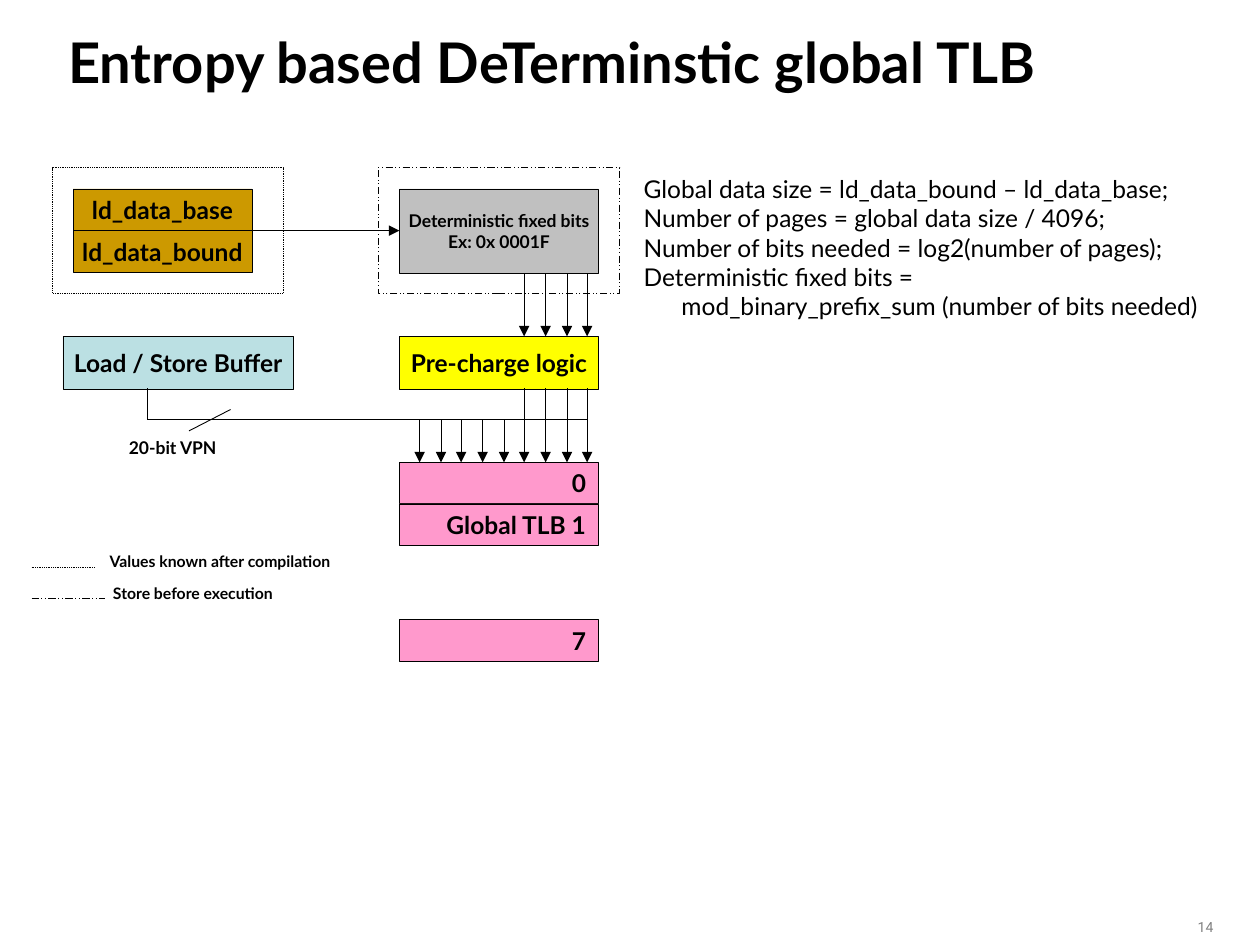
import pptx
import pptx.dml.color
import pptx.enum.dml
import pptx.enum.shapes
import pptx.enum.text
import pptx.oxml
import pptx.oxml.ns
import pptx.util

Inches, Pt = pptx.util.Inches, pptx.util.Pt
ALIGN = pptx.enum.text.PP_ALIGN
ANCHOR = pptx.enum.text.MSO_ANCHOR
DOT = pptx.enum.dml.MSO_LINE.ROUND_DOT
DASH = pptx.enum.dml.MSO_LINE.DASH_DOT_DOT
PINK, GOLD = "FF99CC", "CC9900"


def rgb(value):
    return pptx.dml.color.RGBColor.from_string(value)


def write(sp, text, size=14, bold=True, color="000000", font="Lato",
          align=ALIGN.CENTER, anchor=ANCHOR.TOP, wrap=False):
    """Fill a shape with text, one paragraph per line."""
    tf = sp.text_frame
    tf.word_wrap = wrap
    tf.auto_size = pptx.enum.text.MSO_AUTO_SIZE.NONE
    tf.vertical_anchor = anchor
    tf.text = text
    for p in tf.paragraphs:
        p.alignment = align
        for r in p.runs:
            r.font.name = font
            r.font.size = Pt(size)
            r.font.bold = bold
            r.font.color.rgb = rgb(color)
    return tf


class Diagram:
    line_color = "000000"
    line_width = 0.5

    def __init__(self, prs):
        self.slide = prs.slides.add_slide(prs.slide_layouts[5])
        self.shapes = self.slide.shapes

    def stroke(self, line, dash=None):
        line.color.rgb = rgb(self.line_color)
        line.width = Pt(self.line_width)
        if dash is not None:
            line.dash_style = dash

    def title(self, text, x, y, w, h):
        sp = self.shapes.title
        sp.left, sp.top, sp.width, sp.height = map(Inches, (x, y, w, h))
        tf = write(sp, text, size=32, align=ALIGN.LEFT,
                   anchor=ANCHOR.MIDDLE, wrap=True)
        tf.margin_left = Inches(0.19)

    def box(self, x, y, w, h, fill=None, text=None, dash=None, **fmt):
        sp = self.shapes.add_shape(pptx.enum.shapes.MSO_SHAPE.RECTANGLE,
                                   *map(Inches, (x, y, w, h)))
        sp.shadow.inherit = False
        if fill:
            sp.fill.solid()
            sp.fill.fore_color.rgb = rgb(fill)
        else:
            sp.fill.background()
        self.stroke(sp.line, dash)
        if text:
            write(sp, text, anchor=ANCHOR.MIDDLE, **fmt)

    def label(self, text, x, y, w, h, **fmt):
        sp = self.shapes.add_textbox(*map(Inches, (x, y, w, h)))
        return write(sp, text, **fmt)

    def line(self, x1, y1, x2, y2, arrow=False, dash=None):
        cn = self.shapes.add_connector(
            pptx.enum.shapes.MSO_CONNECTOR.STRAIGHT,
            *map(Inches, (x1, y1, x2, y2)))
        self.stroke(cn.line, dash)
        ns = pptx.oxml.ns.nsdecls("a")
        sp_pr = cn._element.spPr
        if arrow:
            sp_pr.find(pptx.oxml.ns.qn("a:ln")).append(
                pptx.oxml.parse_xml(f'<a:tailEnd {ns} type="triangle"/>'))
        sp_pr.append(pptx.oxml.parse_xml(f"<a:effectLst {ns}/>"))


def main():
    prs = pptx.Presentation()
    prs.slide_width, prs.slide_height = Inches(10), Inches(7.5)
    d = Diagram(prs)
    d.title("Entropy based DeTerminstic global TLB", 0.35, 0.07, 9.31, 0.83)

    # Global TLB entries
    for y, text in ((3.67, "0"), (4.92, "7"), (4, "Global TLB 1")):
        d.box(3.17, y, 1.58, 0.33, PINK, text, align=ALIGN.RIGHT)

    # Registers and logic blocks
    d.box(0.58, 1.5, 1.42, 0.33, GOLD, "ld_data_base")
    d.box(0.58, 1.83, 1.42, 0.33, GOLD, "ld_data_bound")
    d.box(3.17, 2.67, 1.58, 0.42, "FFFF00", "Pre-charge logic")
    d.box(3.17, 1.5, 1.58, 0.67, "C0C0C0",
          "Deterministic fixed bits\nEx: 0x 0001F", size=10)
    d.box(0.5, 2.67, 1.83, 0.42, "BBE0E3", "Load / Store Buffer")
    d.line(2, 1.83, 3.17, 1.83, arrow=True)

    # Bit lines: the last four pass through the pre-charge logic
    bus_y, tlb_y = 3.33, 3.67
    for bit in range(9):
        x = round(3.33 + bit / 6, 2)
        fixed = bit >= 5
        d.line(x, 3.08 if fixed else bus_y, x, tlb_y, arrow=True)
        if fixed:
            d.line(x, 2.17, x, 2.67, arrow=True)

    # Address bus from the buffer
    d.line(1.17, 3.08, 1.17, bus_y)
    d.line(1.17, bus_y, 4.67, bus_y)
    d.line(1.83, 3.25, 1.5, 3.42)
    d.label("20-bit VPN", 0.91, 3.42, 0.92, 0.27, size=10)

    # Frames showing when values are set
    d.box(0.42, 1.33, 1.83, 1, dash=DOT)
    d.box(3, 1.33, 1.92, 1, dash=DASH)

    # Legend
    d.line(0.25, 4.5, 0.75, 4.5, dash=DOT)
    d.label("Values known after compilation", 0.65, 4.33, 2.19, 0.25, size=9)
    d.line(0.25, 4.75, 0.83, 4.75, dash=DASH)
    d.label("Store before execution", 0.72, 4.58, 1.62, 0.25, size=9)

    # Formulas, the last line indented
    tf = d.label("Global data size = ld_data_bound – ld_data_base;\n"
                 "Number of pages = global data size / 4096;\n"
                 "Number of bits needed = log2(number of pages);\n"
                 "Deterministic fixed bits =\n"
                 "mod_binary_prefix_sum (number of bits needed)",
                 5.01, 1.33, 4.95, 1.27, bold=False, align=ALIGN.LEFT)
    tf.paragraphs[-1]._p.get_or_add_pPr().set("marL", str(Inches(0.3)))

    # Slide number
    d.label("14", 9.07, 7.24, 0.66, 0.17, size=8, bold=False, color="808080",
            font="Roboto", align=ALIGN.RIGHT, wrap=True)

    prs.save("out.pptx")


if __name__ == "__main__":
    main()
